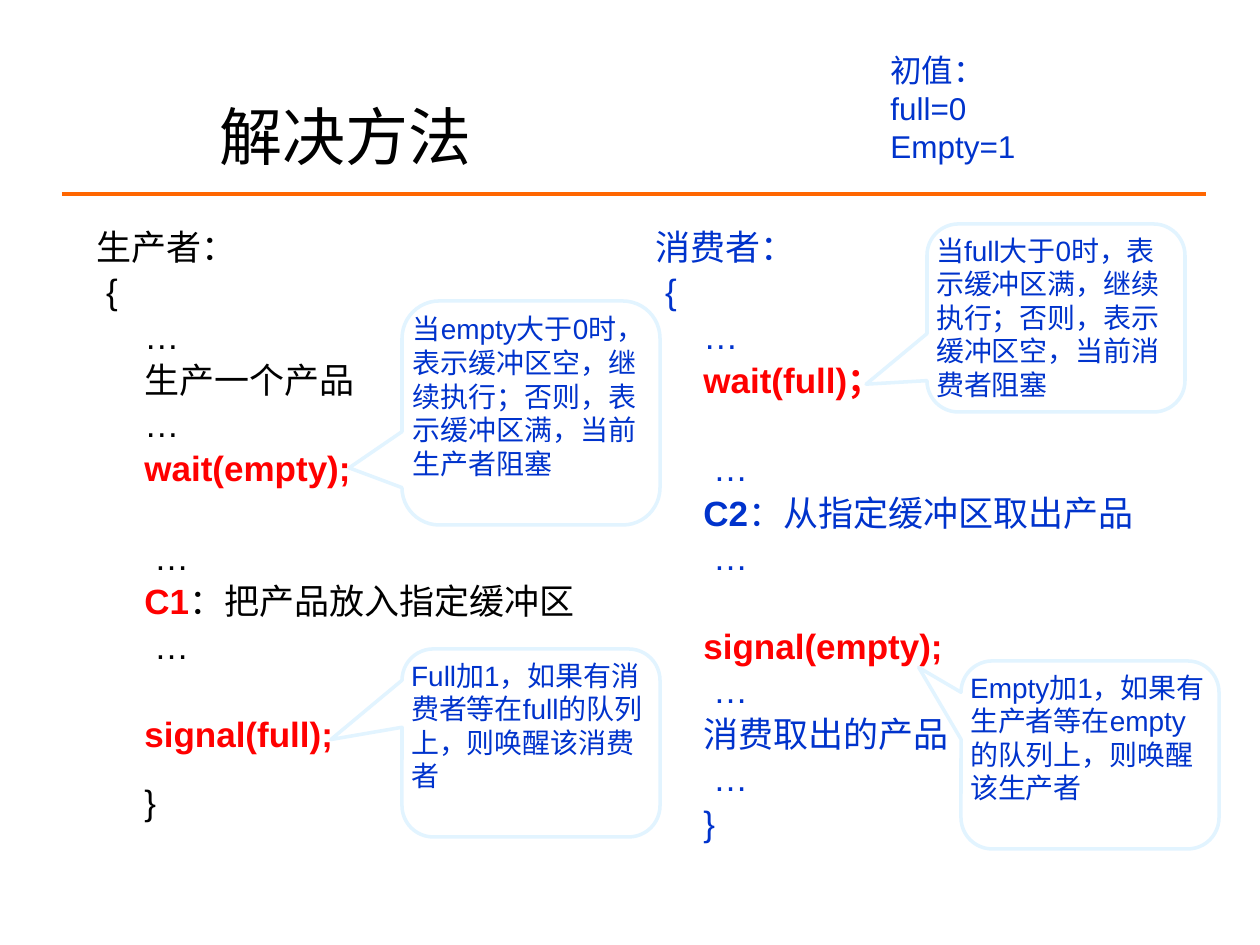
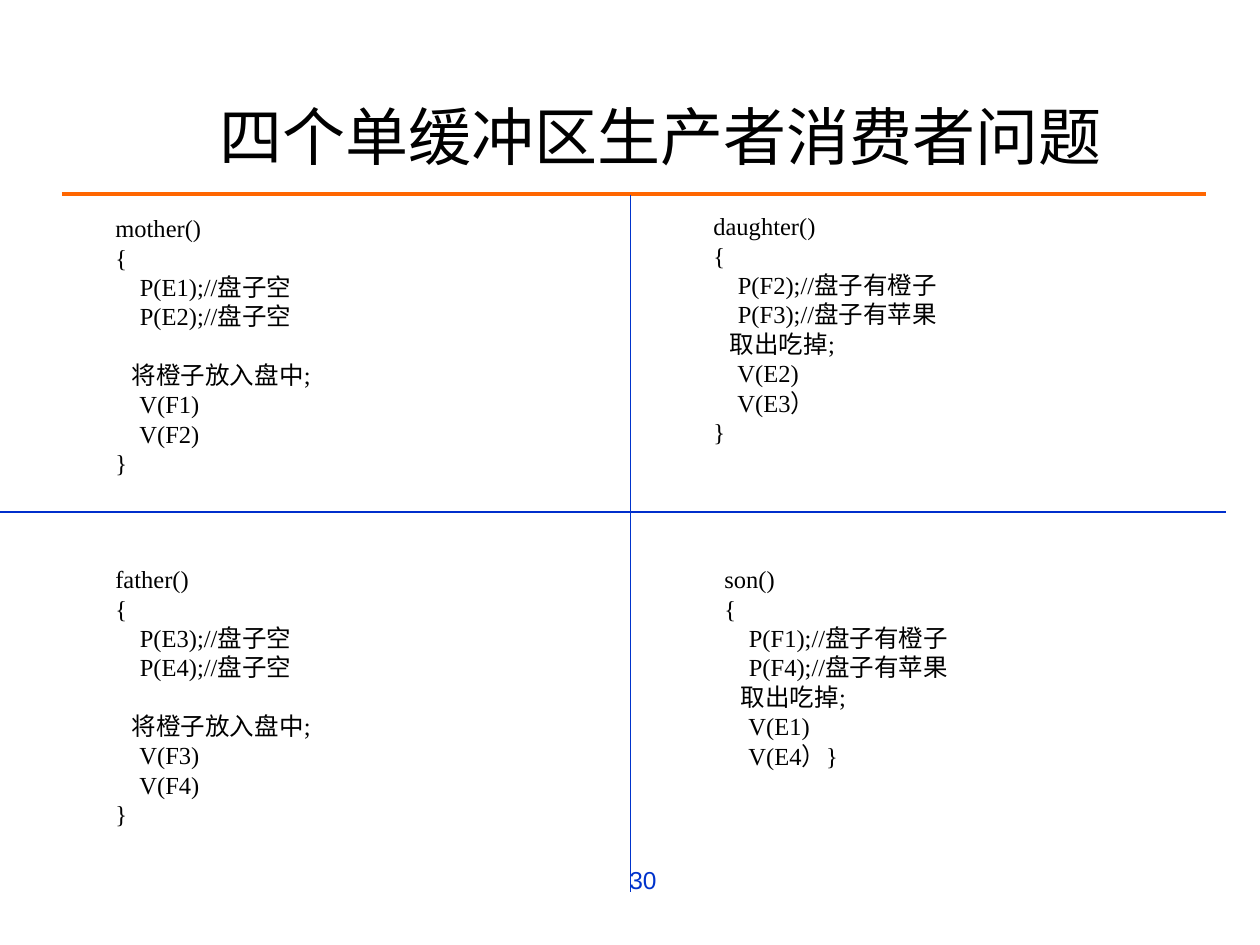
from dataclasses import dataclass
from typing import Sequence

from lxml.etree import SubElement
from pptx import Presentation
from pptx.dml.color import RGBColor
from pptx.enum.shapes import MSO_CONNECTOR, MSO_SHAPE
from pptx.enum.text import MSO_ANCHOR, PP_ALIGN
from pptx.oxml.ns import qn
from pptx.presentation import Presentation as PresentationType
from pptx.shapes.base import BaseShape
from pptx.slide import Slide
from pptx.text.text import TextFrame
from pptx.util import Emu, Pt

EMU_PER_PX = 914400 / 126
BLACK = RGBColor(0x00, 0x00, 0x00)
WHITE = RGBColor(0xFF, 0xFF, 0xFF)
BLUE = RGBColor(0x00, 0x33, 0xCC)
DEEP_BLUE = RGBColor(0x00, 0x2F, 0xCC)
PALE_BLUE = RGBColor(0xE2, 0xF4, 0xFF)
RED = RGBColor(0xFF, 0x00, 0x00)
ORANGE = RGBColor(0xFF, 0x66, 0x00)

STEP_INDENT = 48
STEP_GAP = 3.7
SKIPPED_STEP_GAP = 29
CLOSING_GAP = 17.3
SKIPPED_CODE_LINE = 16.6


@dataclass(frozen=True)
class Box:
    left: int
    top: int
    width: int
    height: int


@dataclass(frozen=True)
class Style:
    size: int
    color: RGBColor
    font: str = "Arial"
    align: PP_ALIGN = PP_ALIGN.LEFT
    line_spacing: float = 1.0


@dataclass(frozen=True)
class Line:
    text: str
    gap: float = 0
    indent: int = 0
    keyword: str = ""
    keyword_color: RGBColor = RED


@dataclass(frozen=True)
class Callout:
    box: Box
    tip_x: float
    tip_y: float
    text: str


TITLE_STYLE = Style(36, BLACK)
PRODUCER_STYLE = Style(20, BLACK, line_spacing=0.9)
CONSUMER_STYLE = Style(20, BLUE, line_spacing=0.9)
CALLOUT_STYLE = Style(16, BLUE)
INITIAL_STYLE = Style(18, BLUE)
CODE_STYLE = Style(14, BLACK, "Times New Roman")
PAGE_STYLE = Style(14, BLUE, align=PP_ALIGN.RIGHT)


def px(length: int) -> Emu:
    return Emu(round(length * EMU_PER_PX))


def place(box: Box) -> tuple[Emu, Emu, Emu, Emu]:
    return px(box.left), px(box.top), px(box.width), px(box.height)


def write_lines(frame: TextFrame, lines: Sequence[Line], style: Style) -> None:
    frame.word_wrap = True
    for index, line in enumerate(lines):
        paragraph = frame.add_paragraph() if index else frame.paragraphs[0]
        paragraph.alignment = style.align
        paragraph.line_spacing = style.line_spacing
        if index:
            paragraph.space_before = Pt(line.gap)
        if line.indent:
            paragraph._p.get_or_add_pPr().set("marL", str(px(line.indent)))
        paragraph.font.name = style.font
        paragraph.font.size = Pt(style.size)
        paragraph.font.color.rgb = style.color
        if line.keyword:
            run = paragraph.add_run()
            run.text = line.keyword
            run.font.bold = True
            run.font.color.rgb = line.keyword_color
        if line.text:
            paragraph.add_run().text = line.text


def add_text(slide: Slide, box: Box, lines: Sequence[Line], style: Style,
             anchor: MSO_ANCHOR = MSO_ANCHOR.TOP) -> BaseShape:
    shape = slide.shapes.add_textbox(*place(box))
    shape.text_frame.vertical_anchor = anchor
    write_lines(shape.text_frame, lines, style)
    return shape


def add_line(slide: Slide, start: tuple[int, int], end: tuple[int, int],
             color: RGBColor, width: float) -> None:
    connector = slide.shapes.add_connector(
        MSO_CONNECTOR.STRAIGHT, *map(px, start + end))
    connector.line.color.rgb = color
    connector.line.width = Pt(width)
    SubElement(connector._element.spPr, qn("a:effectLst"))


def add_callout(slide: Slide, callout: Callout) -> None:
    shape = slide.shapes.add_shape(
        MSO_SHAPE.ROUNDED_RECTANGULAR_CALLOUT, *place(callout.box))
    shape.shadow.inherit = False
    shape.adjustments[0] = callout.tip_x
    shape.adjustments[1] = callout.tip_y
    shape.fill.solid()
    shape.fill.fore_color.rgb = WHITE
    shape.line.color.rgb = PALE_BLUE
    shape.line.width = Pt(2)
    frame = shape.text_frame
    frame.margin_left = frame.margin_right = frame.margin_top = 0
    frame.vertical_anchor = MSO_ANCHOR.TOP
    write_lines(frame, [Line(callout.text)], CALLOUT_STYLE)


def add_titled_slide(presentation: PresentationType, title: str) -> Slide:
    slide = presentation.slides.add_slide(presentation.slide_layouts[6])
    add_line(slide, (62, 194), (1206, 194), ORANGE, 2.25)
    add_text(slide, Box(207, 95, 915, 81), [Line(title)], TITLE_STYLE,
             MSO_ANCHOR.MIDDLE)
    return slide


def step(text: str, gap: float = STEP_GAP, keyword: str = "",
         keyword_color: RGBColor = RED) -> Line:
    return Line(text, gap, STEP_INDENT, keyword, keyword_color)


PRODUCER = [
    Line("生产者："),
    Line(" {", STEP_GAP),
    step("…"),
    step("生产一个产品"),
    step("…"),
    step("", keyword="wait(empty);"),
    step(" …", SKIPPED_STEP_GAP),
    step("：把产品放入指定缓冲区", keyword="C1"),
    step(" …"),
    step("", SKIPPED_STEP_GAP, "signal(full);"),
    step("}", CLOSING_GAP),
]
CONSUMER = [
    Line("消费者："),
    Line(" {", STEP_GAP),
    step("…"),
    step("", keyword="wait(full)；"),
    step(" …", SKIPPED_STEP_GAP),
    step("：从指定缓冲区取出产品", keyword="C2", keyword_color=BLUE),
    step(" …"),
    step("", SKIPPED_STEP_GAP, "signal(empty);"),
    step(" …"),
    step("消费取出的产品"),
    step(" …"),
    step("}"),
]
CALLOUTS = [
    Callout(Box(402, 301, 258, 224), -0.705, 0.245,
            "当empty大于0时，表示缓冲区空，继续执行；否则，表示缓冲区满，当前生产者阻塞"),
    Callout(Box(927, 224, 258, 188), -0.736, 0.352,
            "当full大于0时，表示缓冲区满，继续执行；否则，表示缓冲区空，当前消费者阻塞"),
    Callout(Box(402, 649, 258, 188), -0.776, -0.018,
            "Full加1，如果有消费者等在full的队列上，则唤醒该消费者"),
    Callout(Box(961, 661, 258, 188), -0.664, -0.465,
            "Empty加1，如果有生产者等在empty的队列上，则唤醒该生产者"),
]


def parent_code(name: str, first: int) -> list[Line]:
    second = first + 1
    return [
        Line(f"{name}()"),
        Line("{"),
        Line(f"    P(E{first});//盘子空"),
        Line(f"    P(E{second});//盘子空"),
        Line("   将橙子放入盘中;", SKIPPED_CODE_LINE),
        Line(f"    V(F{first})"),
        Line(f"    V(F{second})"),
        Line("}"),
    ]


def child_code(name: str, orange: int, apple: int,
               ending: Sequence[str]) -> list[Line]:
    return [
        Line(f"{name}()"),
        Line("{"),
        Line(f"    P(F{orange});//盘子有橙子"),
        Line(f"    P(F{apple});//盘子有苹果"),
        Line("   取出吃掉;"),
        Line(f"    V(E{orange})"),
        *map(Line, ending),
    ]


def build_solution(presentation: PresentationType) -> None:
    slide = add_titled_slide(presentation, "解决方法")
    add_text(slide, Box(84, 224, 528, 617), PRODUCER, PRODUCER_STYLE)
    add_text(slide, Box(643, 224, 617, 543), CONSUMER, CONSUMER_STYLE)
    for callout in CALLOUTS:
        add_callout(slide, callout)
    initial_values = [Line("初值："), Line("full=0"), Line("Empty=1")]
    add_text(slide, Box(878, 45, 318, 126), initial_values, INITIAL_STYLE)


def build_four_buffers(presentation: PresentationType) -> None:
    slide = add_titled_slide(presentation, "四个单缓冲区生产者消费者问题")
    add_text(slide, Box(353, 859, 316, 66), [Line("30")], PAGE_STYLE)
    programs = [
        (Box(103, 558, 304, 277), parent_code("father", 3)),
        (Box(701, 205, 304, 248),
         child_code("daughter", 2, 3, ["    V(E3）", "}"])),
        (Box(103, 207, 304, 277), parent_code("mother", 1)),
        (Box(712, 558, 304, 219), child_code("son", 1, 4, ["    V(E4）}"])),
    ]
    for box, lines in programs:
        add_text(slide, box, lines, CODE_STYLE)
    add_line(slide, (0, 512), (1226, 512), DEEP_BLUE, 0.75)
    add_line(slide, (630, 195), (630, 892), BLUE, 0.5)


def main() -> None:
    presentation = Presentation()
    presentation.slide_width = px(1260)
    presentation.slide_height = px(945)
    build_solution(presentation)
    build_four_buffers(presentation)
    presentation.save("out.pptx")


if __name__ == "__main__":
    main()
